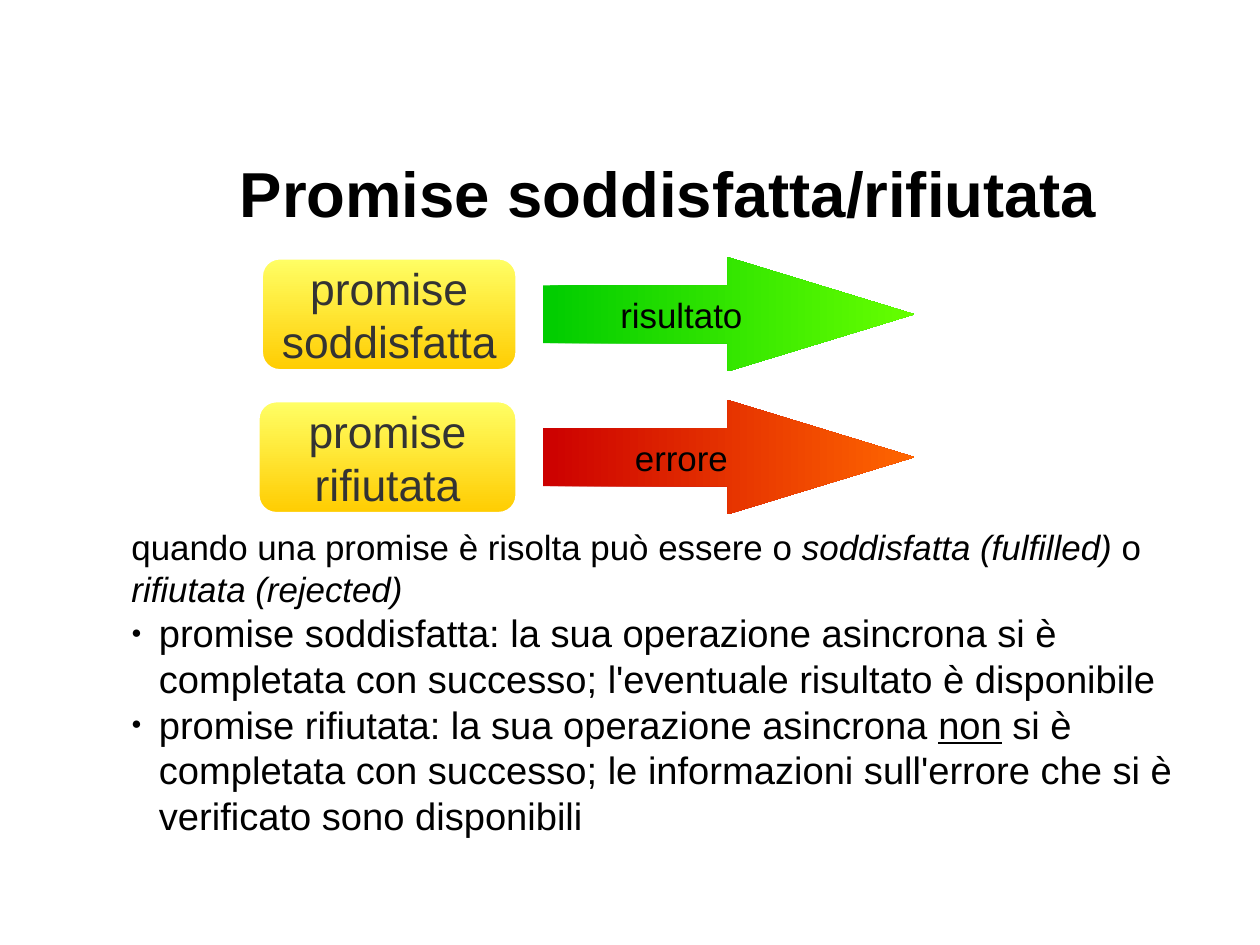
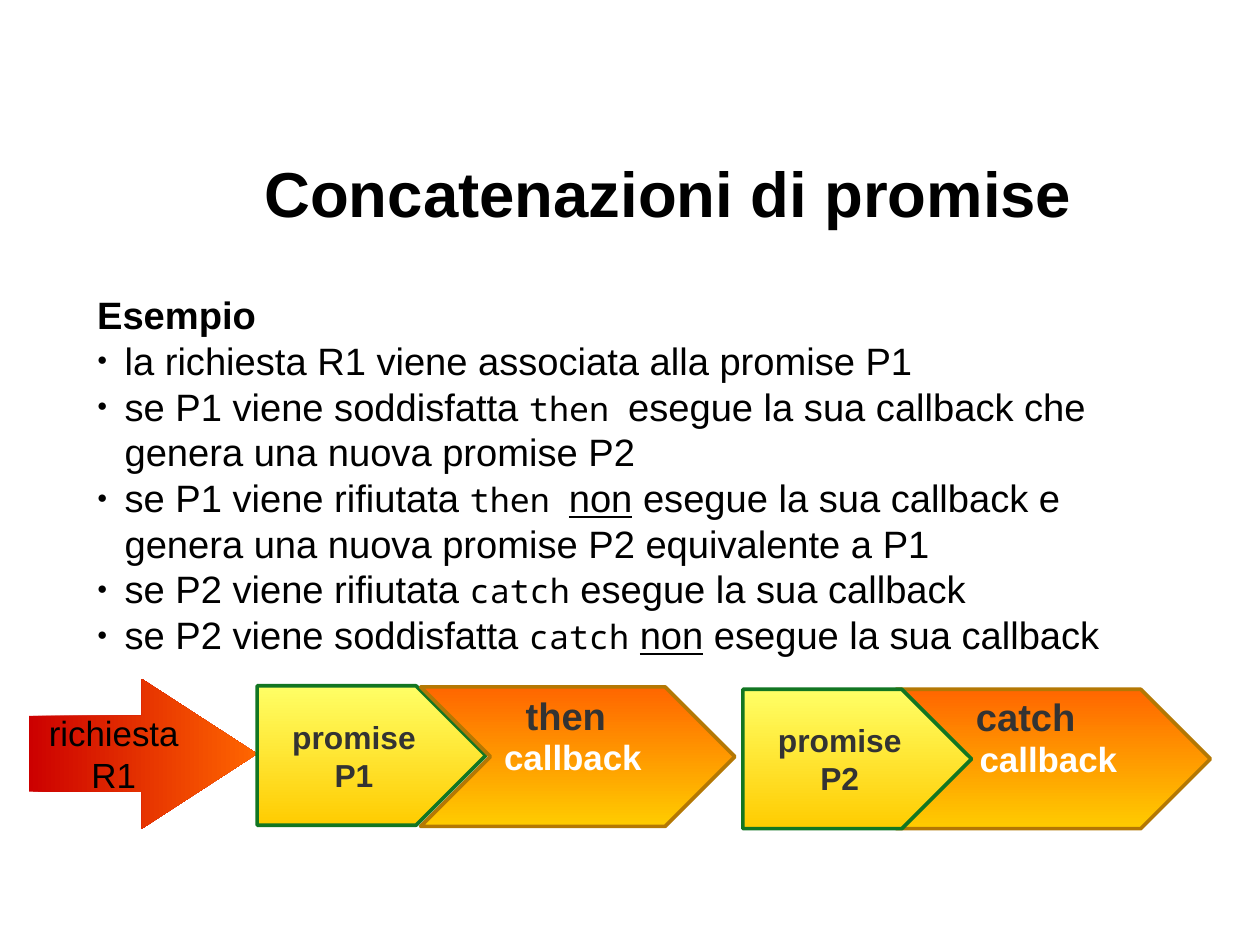
"""Build two slides on settled promises and promise chaining."""
from lxml.etree import SubElement
from pptx import Presentation
from pptx.dml.color import RGBColor
from pptx.enum.shapes import MSO_SHAPE as Shape
from pptx.enum.text import MSO_ANCHOR as Anchor, MSO_AUTO_SIZE as AutoSize, PP_ALIGN as Align
from pptx.oxml.ns import qn
from pptx.util import Cm, Inches, Pt

COLORS = {
    "black": "000000", "white": "FFFFFF", "dark": "333333",
    "yellow": "FFFF66", "gold": "FFCC00", "orange": "FF6600", "red": "CC0000",
    "green": "00CC00", "lime": "66FF00", "forest": "127622", "bronze": "B47804",
}
CELL = 0.25
SANS, MONO = "Arial", "Noto Sans Mono"
ITALIC, UNDERLINE = {"italic": True}, {"underline": True}
CODE, CODE_GAP = {"font": MONO, "size": 21}, {"font": MONO, "size": 20}
RIGHTWARD, DOWNWARD = 0, 270
TITLE_AREA = (5.04, 5.56, 36.68, 2.48)


def color(name):
    """Return the RGB value of a named colour."""
    return RGBColor.from_string(COLORS[name])


def grid(*cells):
    """Convert counts of grid cells to lengths."""
    return [Inches(count * CELL) for count in cells]


def add_span(para, text, size=24, font=SANS, ink="black", bold=False, italic=False, underline=False):
    """Append formatted text to a paragraph."""
    span = para.add_run()
    span.text = text
    style = span.font
    style.size, style.name, style.color.rgb = Pt(size), font, color(ink)
    style.bold, style.italic, style.underline = bold, italic, underline


def set_frame(frame, insets, anchor=Anchor.TOP):
    """Set wrapping, margins and anchor of a text frame."""
    frame.word_wrap, frame.auto_size = True, AutoSize.NONE
    frame.vertical_anchor = anchor
    frame.margin_left, frame.margin_top, frame.margin_right, frame.margin_bottom = map(Inches, insets)


def place(shape, area):
    """Move a shape to an area of the grid."""
    shape.left, shape.top, shape.width, shape.height = grid(*area)


def set_bullet(para, bulleted):
    """Give a paragraph a small hanging bullet or none."""
    para.space_before = Pt(0)
    props = para._p.get_or_add_pPr()
    indent = Inches(0.24) if bulleted else 0
    props.set("marL", str(indent))
    props.set("indent", str(-indent))
    if not bulleted:
        SubElement(props, qn("a:buNone"))
        return
    ink = SubElement(props, qn("a:buClr"))
    SubElement(ink, qn("a:srgbClr"), val=COLORS["black"])
    SubElement(props, qn("a:buSzPct"), val="45000")
    SubElement(props, qn("a:buFont"), typeface=SANS)
    SubElement(props, qn("a:buChar"), char="●")


def add_page(deck, title, area, intro, items, intro_style):
    """Add a slide with a title, an introductory line and a bulleted list."""
    page = deck.slides.add_slide(deck.slide_layouts[1])
    heading, body = page.placeholders
    place(heading, TITLE_AREA)
    set_frame(heading.text_frame, (0, 0.04, 0, 0), Anchor.MIDDLE)
    para = heading.text_frame.paragraphs[0]
    para.alignment, para.line_spacing = Align.CENTER, 0.93
    add_span(para, title, size=40, bold=True)
    place(body, area)
    frame = body.text_frame
    set_frame(frame, (0.1, 0.05, 0.1, 0.05))
    for index, spans in enumerate([intro, *items]):
        para = frame.add_paragraph() if index else frame.paragraphs[0]
        set_bullet(para, index > 0)
        base = {} if index else intro_style
        for text, style in spans:
            add_span(para, text, **{**base, **style})
    return page


def add_block(page, kind, area, lines, stops, angle, adjust, border=None, insets=(0.11, 0.06), **style):
    """Add a gradient shape with centred text."""
    shape = page.shapes.add_shape(kind, *grid(*area))
    shape.shadow.inherit = False
    for index, value in enumerate(adjust):
        shape.adjustments[index] = value
    shape.fill.gradient()
    shape.fill.gradient_angle = angle
    for stop, name in zip(shape.fill.gradient_stops, stops):
        stop.color.rgb = color(name)
    if border:
        shape.line.color.rgb, shape.line.width = color(border[0]), Pt(border[1])
    else:
        shape.line.fill.background()
    frame = shape.text_frame
    set_frame(frame, insets * 2, Anchor.MIDDLE)
    for index, text in enumerate(lines):
        para = frame.add_paragraph() if index else frame.paragraphs[0]
        para.alignment = Align.CENTER
        add_span(para, text, **style)


def add_arrow(page, area, text, stops, head):
    """Add an arrow that points right."""
    add_block(page, Shape.RIGHT_ARROW, area, [text], stops, RIGHTWARD, (0.506, head), size=22)


def add_state(page, left, top, state):
    """Add a rounded box for a promise state, ending at a common right edge."""
    add_block(page, Shape.ROUNDED_RECTANGLE, (left, top, 18.12 - left, 4), ["promise", state],
              ("yellow", "gold"), DOWNWARD, (0.167,), ("white", 3), (0.12, 0.07), size=28, ink="dark")


def add_promise(page, left, top, text):
    """Add a pentagon for a promise of the chain."""
    add_block(page, Shape.PENTAGON, (left, top, 8, 4.88), [text], ("yellow", "gold"),
              DOWNWARD, (0.5,), ("forest", 2.3), size=20, ink="dark", bold=True)


def add_callback(page, left, top, method, label_area):
    """Add a callback chevron and the label of its method."""
    add_block(page, Shape.CHEVRON, (left, top, 11, 4.88), ["callback "], ("orange", "gold"),
              DOWNWARD, (0.5,), ("bronze", 2.3), size=22, ink="white", bold=True)
    box = page.shapes.add_textbox(*grid(*label_area))
    set_frame(box.text_frame, (0.1, 0.05, 0.1, 0.05))
    add_span(box.text_frame.paragraphs[0], method, ink="dark", bold=True)


def build_outcomes(deck):
    """Build the slide on fulfilled and rejected promises."""
    intro = [("quando una promise è risolta può essere o ", {}), ("soddisfatta (fulfilled)", ITALIC),
             (" o ", {}), ("rifiutata (rejected)", ITALIC)]
    items = [
        [("promise soddisfatta: la sua operazione asincrona si è completata con successo; "
          "l'eventuale risultato è disponibile", {})],
        [("promise rifiutata: la sua operazione asincrona ", {}), ("non", UNDERLINE),
         (" si è completata con successo; le informazioni sull'errore che si è verificato "
          "sono disponibili", {})],
    ]
    page = add_page(deck, "Promise soddisfatta/rifiutata", (4.2, 18.2, 38.8, 10.8),
                    intro, items, {"size": 22})
    rows = [(9, 9.12, "soddisfatta", "risultato", ("green", "lime")),
            (14, 9, "rifiutata", "errore", ("red", "orange"))]
    for top, left, state, outcome, stops in rows:
        add_state(page, left, top, state)
        add_arrow(page, (19, top, 13, 4), outcome, stops, 1.634)


def build_chain(deck):
    """Build the slide on chained promises."""
    items = [
        [("la richiesta R1 viene associata alla promise P1", {})],
        [("se P1 viene soddisfatta ", {}), ("then", CODE), (" ", CODE_GAP),
         ("esegue la sua callback che genera una nuova promise P2", {})],
        [("se P1 viene rifiutata ", {}), ("then", CODE), (" ", CODE_GAP), ("non", UNDERLINE),
         (" esegue la sua callback e genera una nuova promise P2 equivalente a P1", {})],
        [("se P2 viene rifiutata ", {}), ("catch", CODE), (" esegue la sua callback", {})],
        [("se P2 viene soddisfatta ", {}), ("catch", CODE), (" ", {}), ("non", UNDERLINE),
         (" esegue la sua callback", {})],
    ]
    page = add_page(deck, "Concatenazioni di promise", (3, 10, 38.8, 13.76),
                    [("Esempio", {})], items, {"bold": True})
    add_arrow(page, (1, 23.76, 8, 5.24), "richiesta R1", ("red", "orange"), 0.77)
    add_promise(page, 9, 24, "promise P1")
    add_callback(page, 14.72, 24.04, "then", (18, 24.04, 5, 1.88))
    add_callback(page, 31.36, 24.12, "catch", (33.76, 24.08, 4.6, 1.88))
    add_promise(page, 26, 24.12, "promise P2")


def main():
    """Build and save the deck."""
    deck = Presentation()
    deck.slide_width, deck.slide_height = Cm(28), Cm(21)
    build_outcomes(deck)
    build_chain(deck)
    deck.save("out.pptx")


if __name__ == "__main__":
    main()
